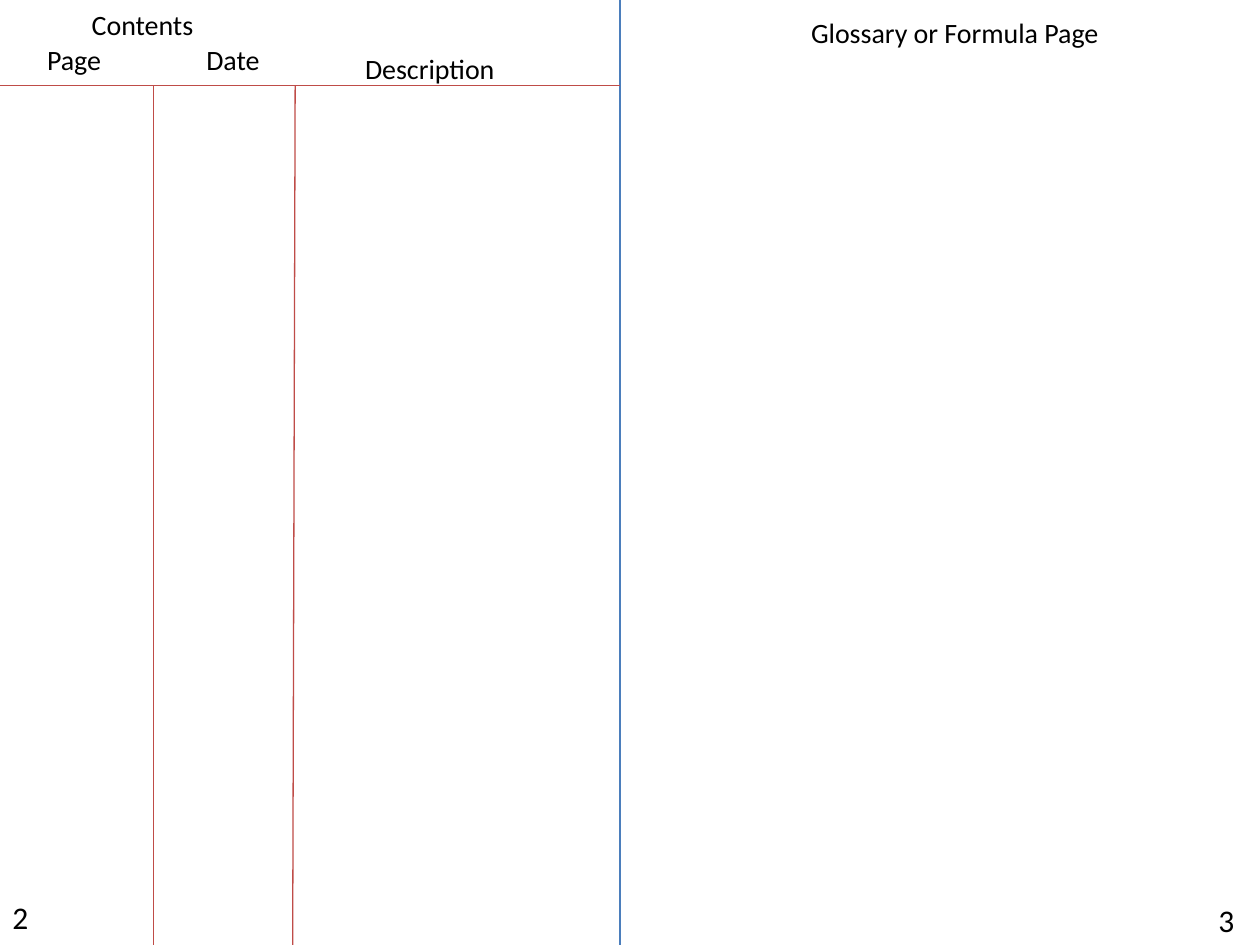
from typing import NamedTuple

from lxml.etree import SubElement
from pptx import Presentation
from pptx.dml.color import RGBColor
from pptx.enum.shapes import MSO_CONNECTOR as Link
from pptx.enum.text import MSO_AUTO_SIZE as Fit
from pptx.oxml.ns import qn
from pptx.slide import Slide
from pptx.util import Cm, Pt

BLACK = RGBColor(0x00, 0x00, 0x00)
BLUE = RGBColor(0x4B, 0x7E, 0xBC)
RED = RGBColor(0xBF, 0x4C, 0x48)

WIDTH, HEIGHT = 25.4, 19.05
FOLD = 12.5
HEAD = 1.73


class Rule(NamedTuple):
    x1: float
    y1: float
    x2: float
    y2: float
    color: RGBColor = RED


class Label(NamedTuple):
    text: str
    left: float
    top: float
    width: float
    height: float = 0.94
    size: int = 16
    wrap: bool = False


RULES = [
    Rule(FOLD, 0, FOLD, HEIGHT, BLUE),
    Rule(0, HEAD, FOLD, HEAD),
    Rule(3.1, HEAD, 3.1, HEIGHT),
    Rule(5.95, HEAD, 5.9, HEIGHT),
]

LABELS = [
    Label("Contents", 1.6, 0.03, 2.59),
    Label("Page", 0.7, 0.74, 1.63),
    Label("Date", 3.91, 0.74, 1.6),
    Label("Description", 7.11, 0.92, 3.89, wrap=True),
    Label("Glossary or Formula Page", 16.1, 0.18, 7.2, wrap=True),
    Label("2", 0, 17.98, 0.84, 1.02, 18),
    Label("3", 24.31, 18.03, 1.52, 1.02, 18, True),
]


def add_rule(slide: Slide, rule: Rule) -> None:
    ends = [Cm(v) for v in rule[:4]]
    line = slide.shapes.add_connector(Link.STRAIGHT, *ends)
    line.line.color.rgb = rule.color
    line.line.width = Pt(0.75)
    SubElement(line.element.spPr, qn("a:effectLst"))


def add_text(slide: Slide, text: str, *, left: float, top: float,
             width: float, height: float, size: int, wrap: bool) -> None:
    box = slide.shapes.add_textbox(Cm(left), Cm(top), Cm(width), Cm(height))
    frame = box.text_frame
    frame.word_wrap = wrap
    frame.auto_size = Fit.SHAPE_TO_FIT_TEXT
    run = frame.paragraphs[0].add_run()
    run.text = text
    run.font.name = "Calibri"
    run.font.size = Pt(size)
    run.font.color.rgb = BLACK


def main() -> None:
    deck = Presentation()
    deck.slide_width, deck.slide_height = Cm(WIDTH), Cm(HEIGHT)
    slide = deck.slides.add_slide(deck.slide_layouts[6])
    for rule in RULES:
        add_rule(slide, rule)
    for label in LABELS:
        add_text(slide, **label._asdict())
    deck.save("out.pptx")


if __name__ == "__main__":
    main()
